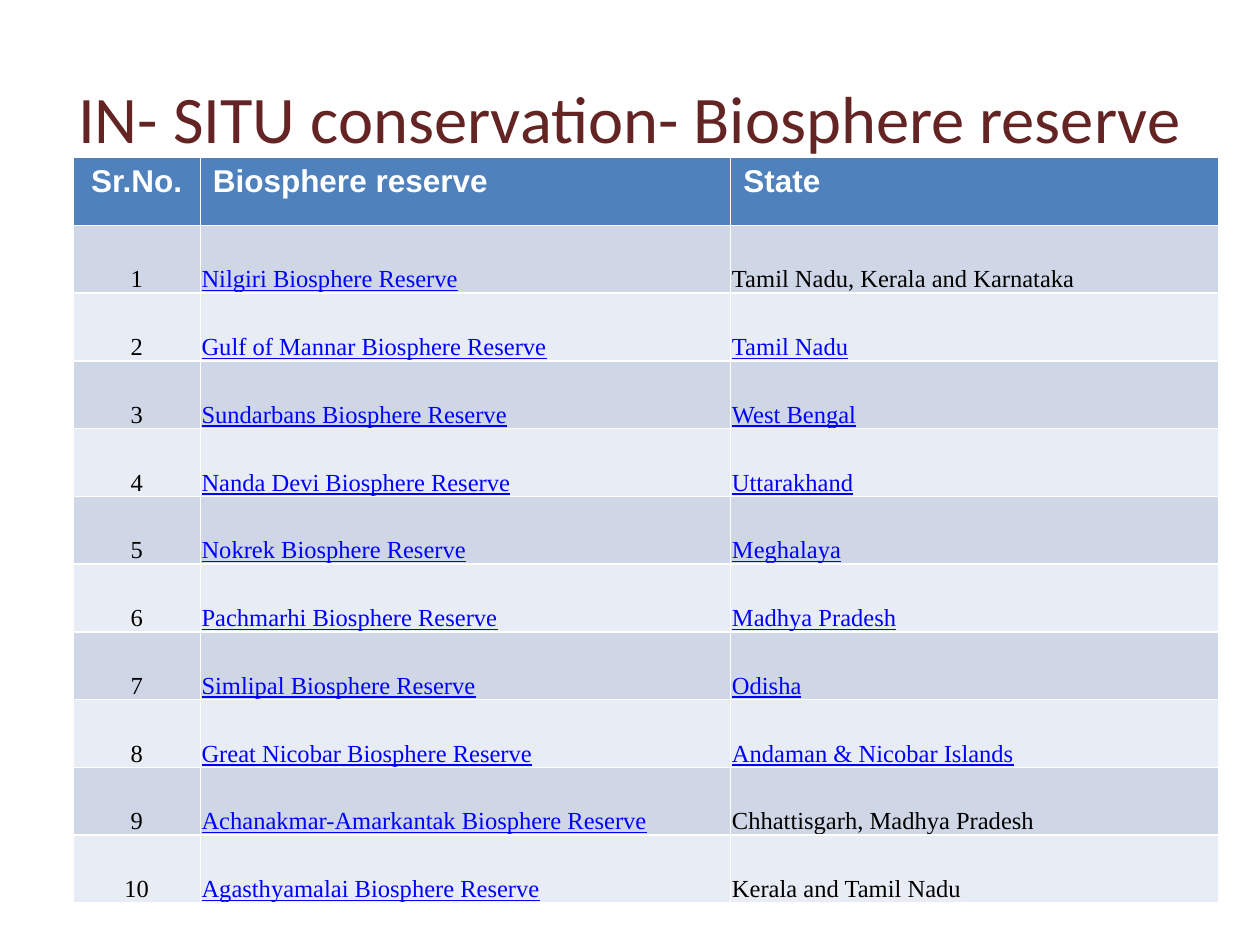
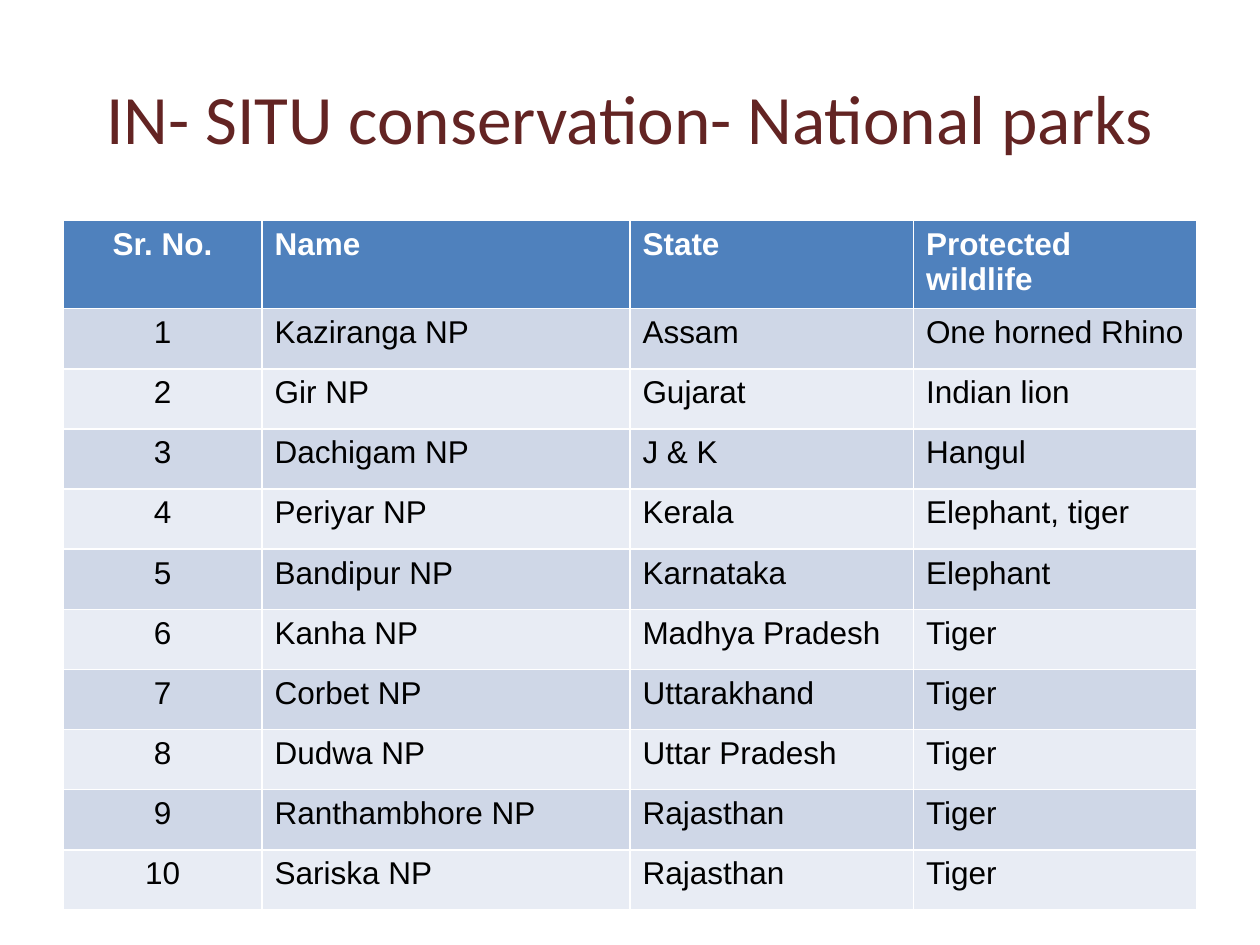
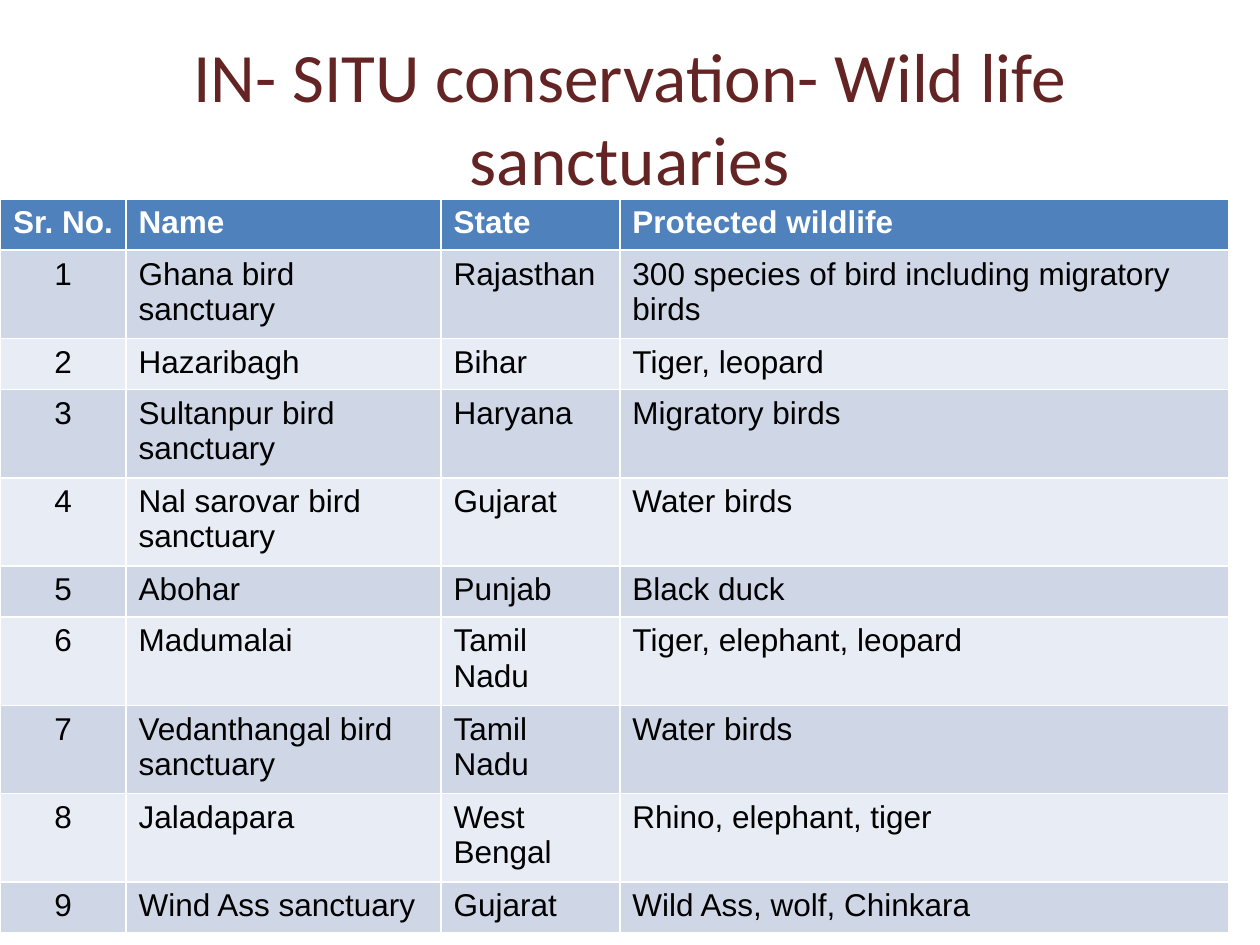
from pptx import Presentation
from pptx.dml.color import RGBColor
from pptx.enum.text import MSO_ANCHOR, PP_ALIGN
from pptx.util import Inches, Pt

CENTER, LEFT = PP_ALIGN.CENTER, PP_ALIGN.LEFT
TOP, MIDDLE, BOTTOM = MSO_ANCHOR.TOP, MSO_ANCHOR.MIDDLE, MSO_ANCHOR.BOTTOM

TITLE_COLOR = "632423"
HEADER_FILL = "4F81BD"
BAND_FILLS = ("CFD7E7", "E8ECF4")
BLACK, WHITE, LINK_BLUE = "000000", "FFFFFF", "0000FF"
TITLE_FONT, TABLE_FONT, RESERVE_FONT = "Calibri", "Arial", "Times New Roman"
ROOMY = (0.1, 0.05, 0.1, 0.05)
TIGHT = (0.01, 0.01, 0.01, 0)
ONE_LINE, TWO_LINES = 3.65 / 9, 0.7

RESERVES = [
    ("Nilgiri Biosphere Reserve", "Tamil Nadu, Kerala and Karnataka"),
    ("Gulf of Mannar Biosphere Reserve", "Tamil Nadu"),
    ("Sundarbans Biosphere Reserve", "West Bengal"),
    ("Nanda Devi Biosphere Reserve", "Uttarakhand"),
    ("Nokrek Biosphere Reserve", "Meghalaya"),
    ("Pachmarhi Biosphere Reserve", "Madhya Pradesh"),
    ("Simlipal Biosphere Reserve", "Odisha"),
    ("Great Nicobar Biosphere Reserve", "Andaman & Nicobar Islands"),
    ("Achanakmar-Amarkantak Biosphere Reserve", "Chhattisgarh, Madhya Pradesh"),
    ("Agasthyamalai Biosphere Reserve", "Kerala and Tamil Nadu"),
]
PARKS = [
    ("Kaziranga NP", "Assam", "One horned Rhino"),
    ("Gir NP", "Gujarat", "Indian lion"),
    ("Dachigam NP", "J & K", "Hangul"),
    ("Periyar NP", "Kerala", "Elephant, tiger"),
    ("Bandipur NP", "Karnataka", "Elephant"),
    ("Kanha NP", "Madhya Pradesh", "Tiger"),
    ("Corbet NP", "Uttarakhand", "Tiger"),
    ("Dudwa NP", "Uttar Pradesh", "Tiger"),
    ("Ranthambhore NP", "Rajasthan", "Tiger"),
    ("Sariska NP", "Rajasthan", "Tiger"),
]
SANCTUARIES = [
    ("Ghana bird sanctuary", "Rajasthan", "300 species of bird including migratory birds"),
    ("Hazaribagh", "Bihar", "Tiger, leopard"),
    ("Sultanpur bird sanctuary", "Haryana", "Migratory birds"),
    ("Nal sarovar bird sanctuary", "Gujarat", "Water birds"),
    ("Abohar", "Punjab", "Black duck"),
    ("Madumalai", "Tamil Nadu", "Tiger, elephant, leopard"),
    ("Vedanthangal bird sanctuary", "Tamil Nadu", "Water birds"),
    ("Jaladapara", "West Bengal", "Rhino, elephant, tiger"),
    ("Wind Ass sanctuary", "Gujarat", "Wild Ass, wolf, Chinkara"),
]
WILDLIFE_HEADER = ("Sr. No.", "Name", "State", "Protected wildlife")


def rgb(value):
    """Return the colour for a hex string."""
    return RGBColor.from_string(value)


def set_margins(target, margins):
    """Set left, top, right and bottom margins in inches."""
    (target.margin_left, target.margin_top,
     target.margin_right, target.margin_bottom) = map(Inches, margins)


def add_run(paragraph, text, font, size, color, bold=False, underline=False):
    """Add one formatted run to a paragraph."""
    run = paragraph.add_run()
    run.text = text
    run.font.name = font
    run.font.size = Pt(size)
    run.font.color.rgb = rgb(color)
    run.font.bold = bold
    run.font.underline = underline


def add_title(slide, text, size):
    """Add the centred slide title."""
    title = slide.shapes.add_textbox(Inches(0.5), Inches(0.3), Inches(9), Inches(1.25))
    frame = title.text_frame
    frame.word_wrap = True
    frame.vertical_anchor = MIDDLE
    set_margins(frame, ROOMY)
    frame.paragraphs[0].alignment = CENTER
    add_run(frame.paragraphs[0], text, TITLE_FONT, size, TITLE_COLOR)


def fill_cell(cell, fill, text, align, anchor=TOP, margins=ROOMY, **style):
    """Give a cell its background, placement and text."""
    cell.fill.solid()
    cell.fill.fore_color.rgb = rgb(fill)
    cell.vertical_anchor = anchor
    set_margins(cell, margins)
    paragraph = cell.text_frame.paragraphs[0]
    paragraph.alignment = align
    add_run(paragraph, text, **style)


def is_linked(column, text):
    """Tell whether a reserve cell looks like a link: a name or a single state."""
    return column == 1 or (column == 2 and ", " not in text and " and " not in text)


def add_listing(slide, left, top, widths, heights, header, entries, reserves=False):
    """Add a numbered, banded table of protected areas, ruled by its table style."""
    listing = slide.shapes.add_table(
        len(heights), len(widths), Inches(left), Inches(top),
        Inches(sum(widths)), Inches(sum(heights))).table
    for column, width in zip(listing.columns, widths):
        column.width = Inches(width)
    for row, height in zip(listing.rows, heights):
        row.height = Inches(height)

    for column, text in enumerate(header):
        fill_cell(listing.cell(0, column), HEADER_FILL, text, LEFT if column else CENTER,
                  font=TABLE_FONT, size=18, color=WHITE, bold=True)

    for number, entry in enumerate(entries, 1):
        for column, text in enumerate((str(number), *entry)):
            linked = reserves and is_linked(column, text)
            fill_cell(listing.cell(number, column), BAND_FILLS[(number - 1) % 2], text,
                      LEFT if column else CENTER,
                      anchor=BOTTOM if reserves else TOP,
                      margins=TIGHT if reserves else ROOMY,
                      font=RESERVE_FONT if reserves else TABLE_FONT,
                      size=14 if reserves else 18,
                      color=LINK_BLUE if linked else BLACK, underline=linked)


def main():
    """Build the three slides and save them."""
    deck = Presentation()
    deck.slide_width, deck.slide_height = Inches(10), Inches(7.5)
    blank = deck.slide_layouts[6]

    slide = deck.slides.add_slide(blank)
    add_title(slide, "IN- SITU conservation- Biosphere reserve", 38)
    add_listing(slide, 0.58, 1.25, (1.01, 4.21, 3.87), [5.92 / 11] * 11,
                ("Sr.No.", "Biosphere reserve", "State"), RESERVES, reserves=True)

    slide = deck.slides.add_slide(blank)
    add_title(slide, "IN- SITU conservation- National parks", 39.6)
    add_listing(slide, 0.5, 1.75, (1.58, 2.92, 2.25, 2.25), [5.25 / 11] * 11,
                WILDLIFE_HEADER, PARKS)

    slide = deck.slides.add_slide(blank)
    add_title(slide, "IN- SITU conservation- Wild life sanctuaries", 39.6)
    heights = [TWO_LINES if row in (3, 4, 7, 8) else ONE_LINE for row in range(10)]
    add_listing(slide, 0, 1.58, (1, 2.5, 1.42, 4.83), heights,
                WILDLIFE_HEADER, SANCTUARIES)

    deck.save("out.pptx")


if __name__ == "__main__":
    main()
